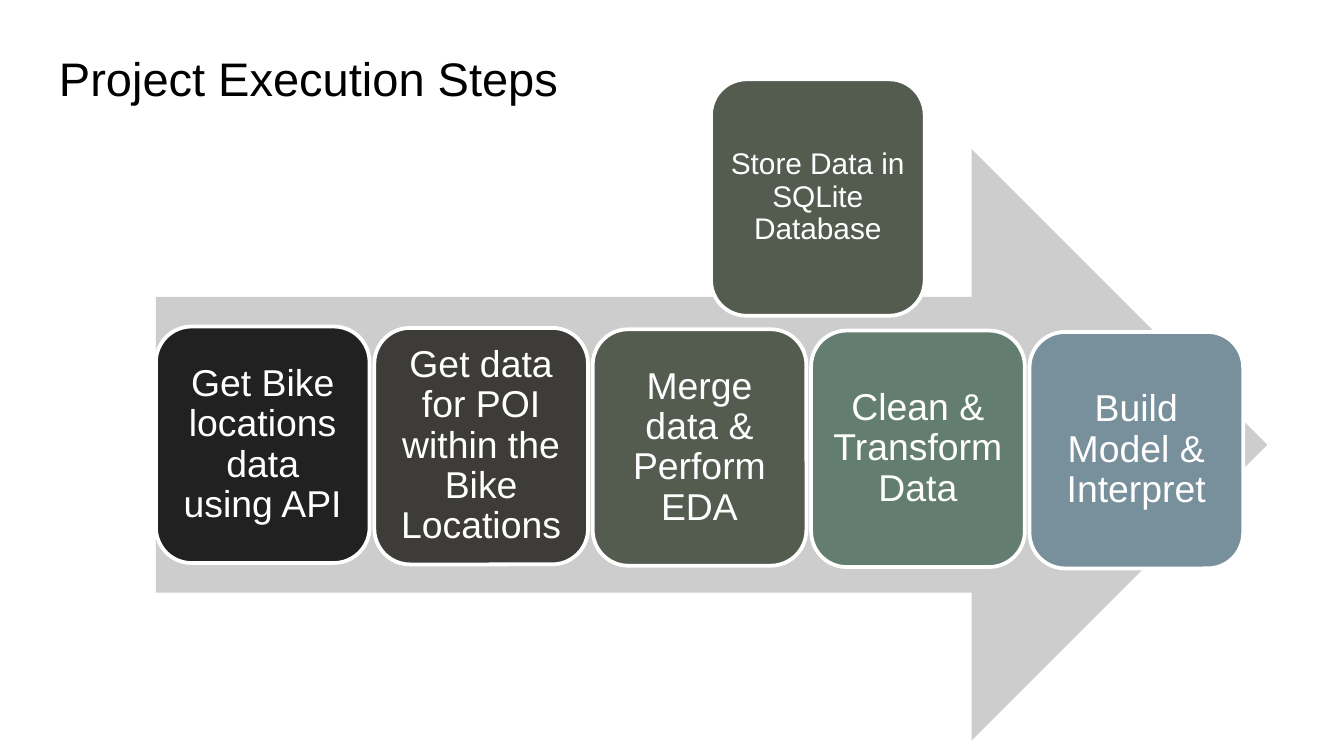
import pptx
import pptx.util
from pptx.dml.color import RGBColor
from pptx.enum.shapes import MSO_SHAPE
from pptx.enum.text import MSO_ANCHOR, PP_ALIGN

Inches = pptx.util.Inches
Pt = pptx.util.Pt

TITLE = "Project Execution Steps"
STEPS = [
    ("Get Bike locations data using API", "212121"),
    ("Get data for POI within the Bike Locations", "3E3C39"),
    ("Merge data & Perform EDA", "545B4F"),
    ("Clean & Transform Data", "637D70"),
    ("Build Model & Interpret", "78909C"),
]
STORAGE = ("Store Data in SQLite Database", "545B4F")

THEME = {
    "font": "Arial",
    "title": "000000",
    "light": "FFFFFF",
    "arrow": "CDCDCD",
    "title_size": 25.2,
    "step_size": 20,
    "storage_size": 16,
}

SLIDE_WIDTH = 10
SLIDE_HEIGHT = SLIDE_WIDTH * 9 / 16
CARD_WIDTH, CARD_HEIGHT = 1.59, 1.76
FIRST_LEFT, LAST_LEFT = 1.16, 7.66
FIRST_TOP, STEP_DOWN = 2.43, 0.01
STEP_RIGHT = (LAST_LEFT - FIRST_LEFT) / (len(STEPS) - 1)


def style_text(frame, text, size, color, margin):
    frame.word_wrap = True
    frame.margin_left = frame.margin_right = Inches(margin)
    frame.margin_top = frame.margin_bottom = Inches(margin)
    frame.text = text
    font = frame.paragraphs[0].runs[0].font
    font.name = THEME["font"]
    font.size = Pt(size)
    font.color.rgb = RGBColor.from_string(color)


def add_filled(slide, kind, left, top, width, height, color):
    shape = slide.shapes.add_shape(
        kind, Inches(left), Inches(top), Inches(width), Inches(height))
    shape.shadow.inherit = False
    shape.fill.solid()
    shape.fill.fore_color.rgb = RGBColor.from_string(color)
    shape.line.fill.background()
    return shape


def add_card(slide, left, top, text, color, size, margin):
    card = add_filled(slide, MSO_SHAPE.ROUNDED_RECTANGLE,
                      left, top, CARD_WIDTH, CARD_HEIGHT, color)
    card.line.color.rgb = RGBColor.from_string(THEME["light"])
    card.line.width = Pt(2)
    style_text(card.text_frame, text, size, THEME["light"], margin)
    card.text_frame.vertical_anchor = MSO_ANCHOR.MIDDLE
    para = card.text_frame.paragraphs[0]
    para.alignment = PP_ALIGN.CENTER
    para.line_spacing = 0.9


def main():
    deck = pptx.Presentation()
    deck.slide_width, deck.slide_height = Inches(SLIDE_WIDTH), Inches(SLIDE_HEIGHT)
    slide = deck.slides.add_slide(deck.slide_layouts[6])

    title = slide.shapes.add_textbox(
        Inches(0.34), Inches(0.27), Inches(9.32), Inches(0.63))
    style_text(title.text_frame, TITLE, THEME["title_size"], THEME["title"], 0.1)

    add_filled(slide, MSO_SHAPE.RIGHT_ARROW, 1.16, 1.11, 8.27, 4.4, THEME["arrow"])
    for index, (text, color) in enumerate(STEPS):
        add_card(slide, FIRST_LEFT + index * STEP_RIGHT, FIRST_TOP + index * STEP_DOWN,
                 text, color, THEME["step_size"], 0.08)
    add_card(slide, 5.29, 0.59, *STORAGE, THEME["storage_size"], 0.07)

    deck.save("out.pptx")


if __name__ == "__main__":
    main()
